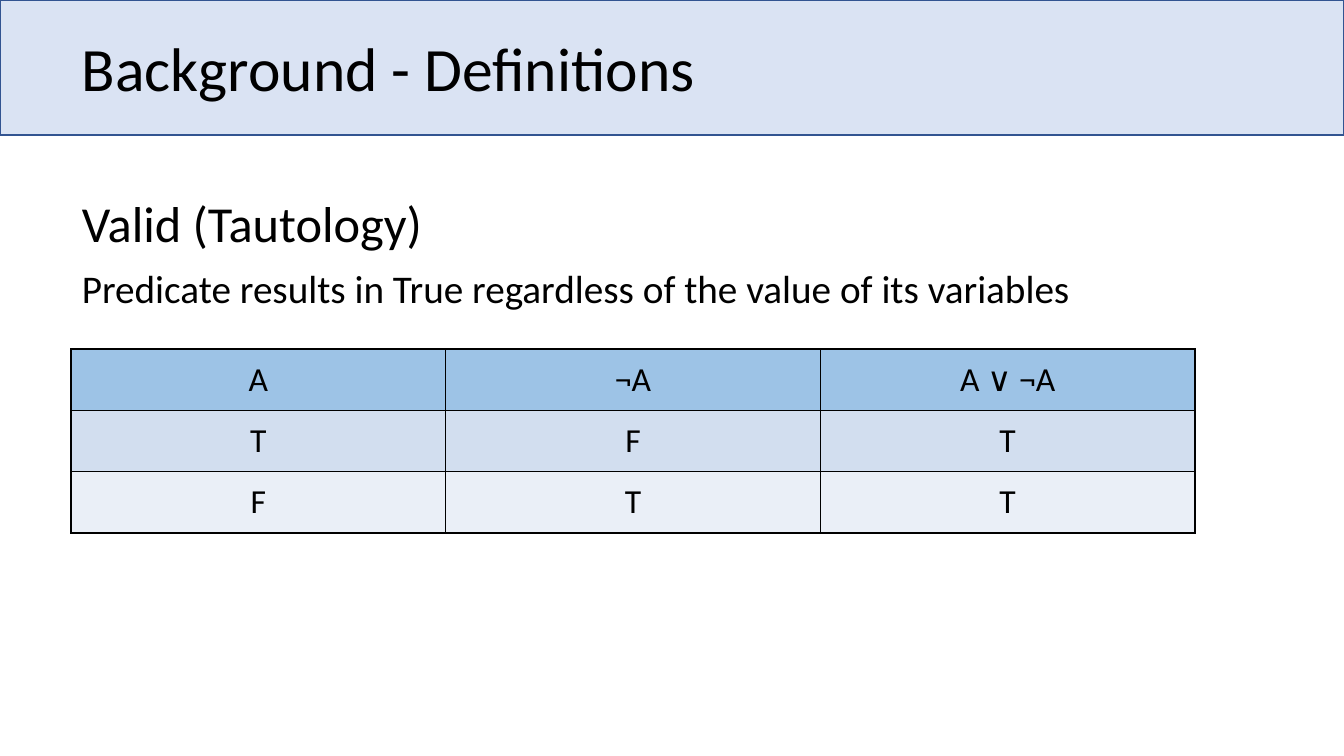
from lxml import etree
from pptx import Presentation
from pptx.dml.color import RGBColor
from pptx.enum.shapes import MSO_SHAPE
from pptx.enum.text import MSO_ANCHOR, PP_ALIGN
from pptx.oxml.ns import qn
from pptx.util import Pt

EMU_PER_PX = 914400 / 100.8
FONT = "Calibri"
BLACK = "000000"
ROW_FILLS = ["9DC3E6", "D2DEEF", "EAEFF7"]
TRUTH_ROWS = [["A", "¬A", "A ∨ ¬A"], ["T", "F", "T"], ["F", "T", "T"]]


def px(n):
    """Turn pixels into EMU."""
    return round(n * EMU_PER_PX)


def rgb(value):
    """Turn a hex string into a colour."""
    return RGBColor.from_string(value)


def write(tf, text, size, align=PP_ALIGN.LEFT):
    """Write one run into the first paragraph and return the paragraph."""
    p = tf.paragraphs[0]
    p.alignment = align
    r = p.add_run()
    r.text = text
    r.font.name = FONT
    r.font.size = Pt(size)
    r.font.color.rgb = rgb(BLACK)
    return p


def add_text(slide, box, text, size, anchor=MSO_ANCHOR.TOP):
    """Add a wrapped text box and return its paragraph."""
    tf = slide.shapes.add_textbox(*map(px, box)).text_frame
    tf.word_wrap = True
    tf.vertical_anchor = anchor
    return write(tf, text, size)


def add_header(slide, box, title):
    """Add the title band with its heading."""
    x, y, w, h = box
    sp = slide.shapes.add_shape(MSO_SHAPE.RECTANGLE, *map(px, box))
    sp.shadow.inherit = False
    sp.fill.solid()
    sp.fill.fore_color.rgb = rgb("DAE3F3")
    sp.line.color.rgb = rgb("325491")
    sp.line.width = Pt(1)
    heading = (x + 72, y - 1, w - 185, h + 11)
    p = add_text(slide, heading, title, 44, MSO_ANCHOR.MIDDLE)
    p.line_spacing = 0.9


def add_definition(slide, box, term, meaning):
    """Add a term with its meaning below."""
    x, y, w, h = box
    term_h = 72
    add_text(slide, (x, y, w, term_h), term, 36)
    add_text(slide, (x, y + term_h, w, h - term_h), meaning, 28)


def add_borders(cell):
    """Give a cell thin black borders, placed ahead of its fill."""
    tc_pr = cell._tc.get_or_add_tcPr()
    for i, side in enumerate(("lnL", "lnR", "lnT", "lnB")):
        ln = etree.Element(qn(f"a:{side}"), w=str(Pt(1)))
        fill = etree.SubElement(ln, qn("a:solidFill"))
        etree.SubElement(fill, qn("a:srgbClr"), val=BLACK)
        tc_pr.insert(i, ln)


def add_truth_table(slide, box, rows, fills):
    """Add a truth table with equal rows and columns."""
    x, y, w, h = map(px, box)
    table = slide.shapes.add_table(len(rows), len(rows[0]), x, y, w, h).table
    for i, (values, fill) in enumerate(zip(rows, fills)):
        for j, value in enumerate(values):
            cell = table.cell(i, j)
            cell.fill.solid()
            cell.fill.fore_color.rgb = rgb(fill)
            cell.vertical_anchor = MSO_ANCHOR.MIDDLE
            write(cell.text_frame, value, 24, PP_ALIGN.CENTER).font.bold = False
            add_borders(cell)


def build_definition_slide(prs):
    """Build the slide that defines validity."""
    slide = prs.slides.add_slide(prs.slide_layouts[6])
    add_header(slide, (0, 0, 1344, 135), "Background - Definitions")
    add_definition(
        slide, (72, 187, 1202, 129), "Valid (Tautology)",
        "Predicate results in True regardless of the value of its variables")
    add_truth_table(slide, (71, 349, 1124, 184), TRUTH_ROWS, ROW_FILLS)


prs = Presentation()
prs.slide_width, prs.slide_height = px(1344), px(756)
build_definition_slide(prs)
prs.save("out.pptx")
